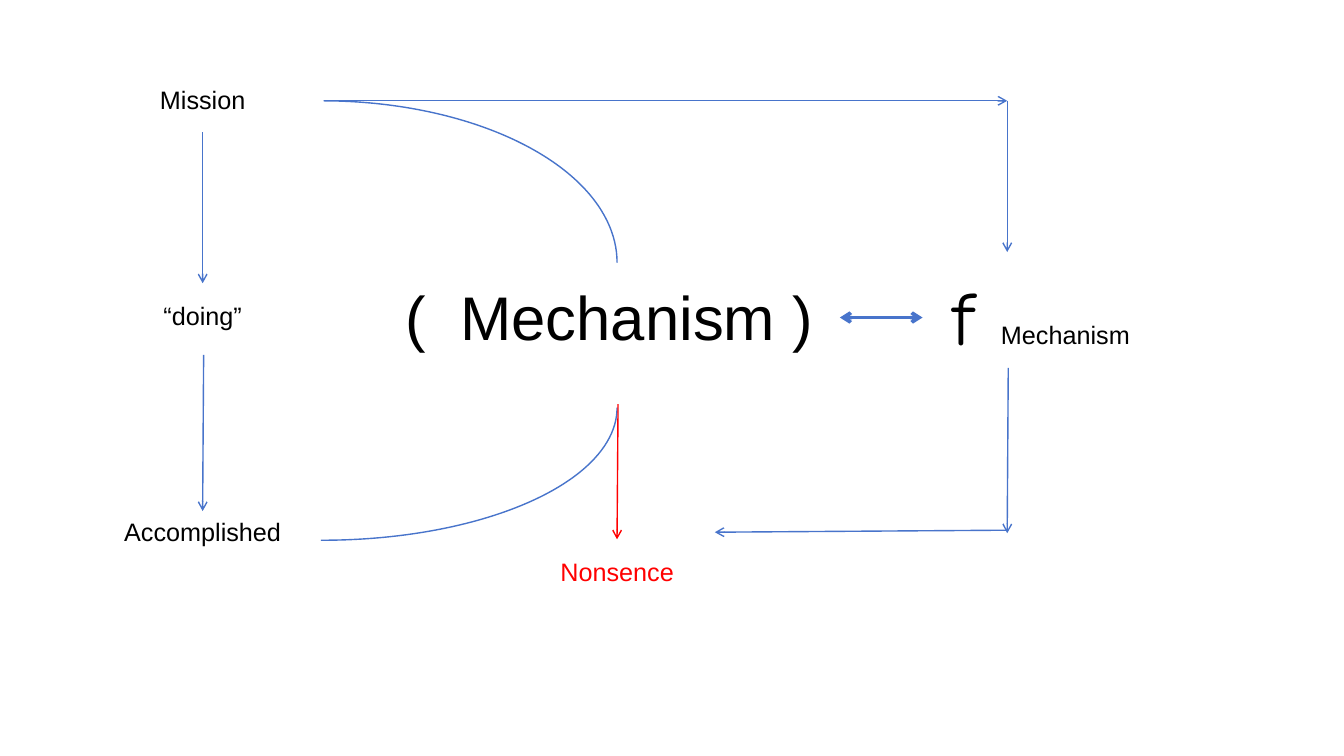
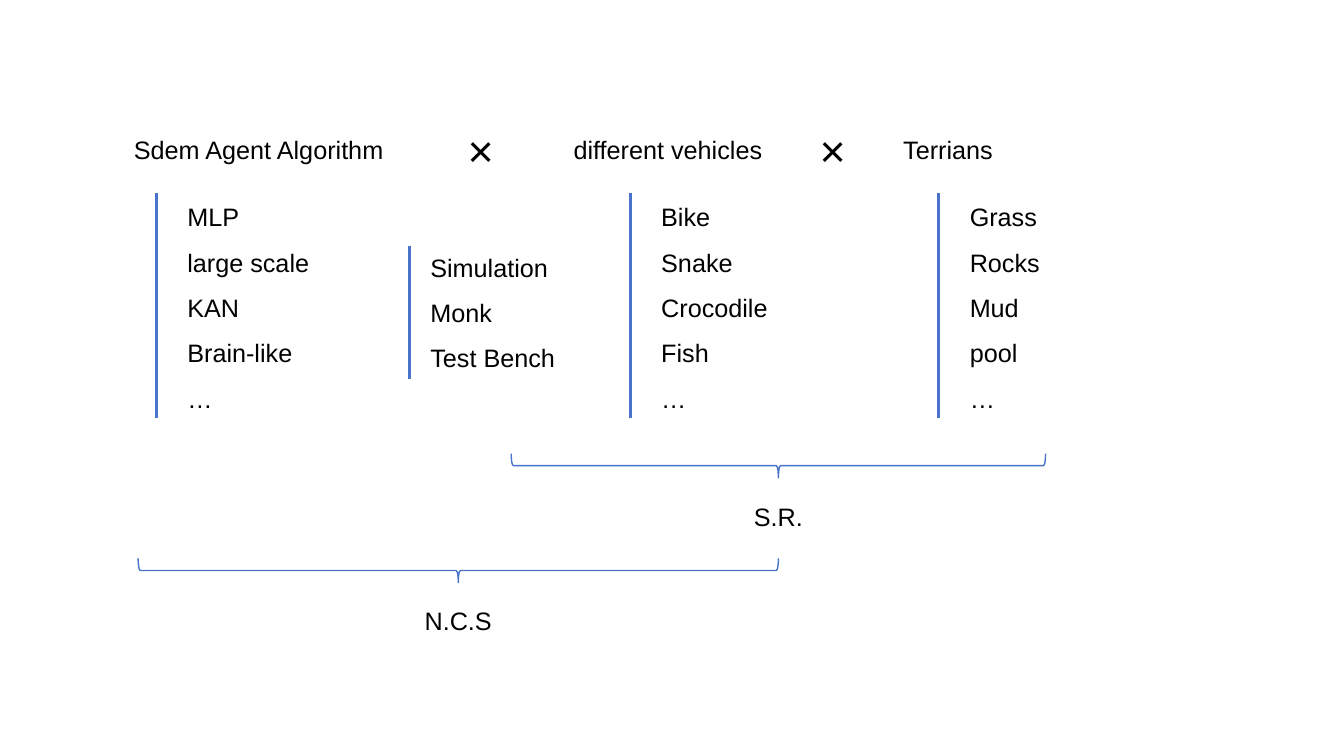
from lxml.etree import SubElement
from pptx import Presentation
from pptx.dml.color import RGBColor
from pptx.enum.shapes import MSO_CONNECTOR, MSO_SHAPE
from pptx.enum.text import MSO_ANCHOR, MSO_AUTO_SIZE, PP_ALIGN
from pptx.oxml.ns import qn
from pptx.util import Inches, Pt

# The grid has square cells, one inch wide; positions are (column, row).
CELL = Inches(1)
COLUMNS, ROWS = 13.33, 7.5
BLANK_LAYOUT = 6
BLUE, RED, BLACK = "4874CB", "FF0000", "000000"


def grid(*cells):
    return [round(cell * CELL) for cell in cells]


def rgb(hex_color):
    return RGBColor.from_string(hex_color)


class Deck:
    """Holds the shared style and the slide being drawn."""

    font_name = "Arial"
    body_size = 18
    thin, bar_width = 1, 2.25

    def __init__(self):
        self.presentation = Presentation()
        self.presentation.slide_width, self.presentation.slide_height = grid(COLUMNS, ROWS)
        self.shapes = None

    def new_slide(self):
        layout = self.presentation.slide_layouts[BLANK_LAYOUT]
        self.shapes = self.presentation.slides.add_slide(layout).shapes

    def text(self, lines, left, top, width, height=0.4, size=body_size, color=BLACK,
             font_name=font_name, align=PP_ALIGN.LEFT, spacing=None, middle=False, wrap=True):
        frame = self.shapes.add_textbox(*grid(left, top, width, height)).text_frame
        frame.word_wrap = wrap
        if middle:
            frame.vertical_anchor = MSO_ANCHOR.MIDDLE
        else:
            frame.auto_size = MSO_AUTO_SIZE.SHAPE_TO_FIT_TEXT
        frame.text = "\n".join(lines)
        for paragraph in frame.paragraphs:
            paragraph.alignment = align
            paragraph.line_spacing = spacing
            paragraph.font.size = Pt(size)
            paragraph.font.name = font_name
            paragraph.font.color.rgb = rgb(color)
        return frame

    def label(self, wording, center, top, width=1.49, color=BLACK):
        self.text([wording], center - width / 2, top, width, color=color, align=PP_ALIGN.CENTER)

    def line(self, start, end, color=BLUE, width=thin, heads=()):
        """Draw a line; heads may name headEnd (at start) and tailEnd (at end)."""
        connector = self.shapes.add_connector(MSO_CONNECTOR.STRAIGHT, *grid(*start, *end))
        connector.line.color.rgb = rgb(color)
        connector.line.width = Pt(width)
        properties = connector._element.spPr
        for head in heads:
            SubElement(properties.find(qn("a:ln")), qn(f"a:{head}"), type="arrow")
        SubElement(properties, qn("a:effectLst"))

    def arrow(self, start, end, color=BLUE):
        self.line(start, end, color, heads=["tailEnd"])

    def outline(self, preset, left, top, width, height):
        shape = self.shapes.add_shape(preset, *grid(left, top, width, height))
        shape.shadow.inherit = False
        shape.fill.background()
        shape.line.color.rgb = rgb(BLUE)
        shape.line.width = Pt(self.thin)
        return shape

    def arc(self, left, top, width, height, start_degrees, end_degrees):
        arc = self.outline(MSO_SHAPE.ARC, left, top, width, height)
        for index, degrees in enumerate((start_degrees, end_degrees)):
            arc.adjustments[index] = degrees * 0.6

    def brace_below(self, left, top, width, depth=0.24):
        """Draw a right brace turned to point down."""
        shift = (width - depth) / 2
        brace = self.outline(MSO_SHAPE.RIGHT_BRACE, left + shift, top - shift, depth, width)
        brace.rotation = 90

    def barred_list(self, items, bar, top, bottom, text_left, text_top):
        self.text(items, text_left, text_top, 1.57, 0.1 + 0.455 * len(items), spacing=1.5)
        self.line((bar, top), (bar, bottom), width=self.bar_width)


def mechanism_slide(deck):
    deck.new_slide()
    steps, core, function = 2.01, 6.12, 9.99

    deck.label("Mission", steps, 0.79)
    deck.label("“doing”", steps, 2.93)
    deck.label("Accomplished", steps, 5.07, width=2.23)
    deck.arrow((steps, 1.31), (steps, 2.81))
    deck.arrow((steps + 0.01, 3.52), (steps, 5.07))

    formula = deck.text(["("], 3.92, 2.05, 4.25, 2.17, size=44,
                        align=PP_ALIGN.CENTER, middle=True).paragraphs[0]
    formula.runs[0]._r.get_or_add_rPr().set("spc", "1220")  # widens the gap after the bracket
    formula.add_run().text = " Mechanism )"

    deck.arc(0.27, 1, 5.85, 3.21, 270.5, 0)
    deck.arc(0.27, 2.73, 5.85, 2.63, 0, 90.5)
    deck.arrow((core + 0.01, 4.01), (core, 5.35), RED)
    deck.label("Nonsence", core, 5.47, color=RED)

    deck.text(["f"], 9.35, 2.53, 1.16, 1.2, size=54, font_name="Comic Neue", middle=True)
    deck.text(["Mechanism"], 9.83, 3.12, 1.53)
    deck.line((8.33, 3.15), (9.15, 3.15), width=2.5, heads=["headEnd", "tailEnd"])
    deck.arrow((3.21, 1), (function, 1))
    deck.arrow((function, 1), (function, 2.5))
    deck.arrow((function + 0.01, 3.65), (function, 5.29))
    deck.arrow((function, 5.26), (7.09, 5.28))


def combinations_slide(deck):
    deck.new_slide()
    factors = [
        ("Sdem Agent Algorithm", 1.23, 1.55, ["MLP", "large scale", "KAN", "Brain-like", "…"]),
        ("different vehicles", 5.59, 6.25, ["Bike", "Snake", "Crocodile", "Fish", "…"]),
        ("Terrians", 8.86, 9.31, ["Grass", "Rocks", "Mud", "pool", "…"]),
    ]
    for heading, left, bar, examples in factors:
        deck.text([heading], left, 1.28, 2.75)
        deck.barred_list(examples, bar, 1.91, 4.15, bar + 0.21, 1.8)
    for times_left in (4.54, 8.03):
        deck.text(["×"], times_left, 1.17, 0.53, 0.64, size=32, wrap=False)
    deck.barred_list(["Simulation", "Monk", "Test Bench"], 4.06, 2.44, 3.76, 4.17, 2.3)

    for group, left, top, width in (("S.R.", 5.07, 4.5, 5.3), ("N.C.S", 1.37, 5.54, 6.35)):
        deck.brace_below(left, top, width)
        deck.label(group, left + width / 2, top + 0.42, width=1.17)


def main():
    deck = Deck()
    mechanism_slide(deck)
    combinations_slide(deck)
    deck.presentation.save("out.pptx")


if __name__ == "__main__":
    main()
